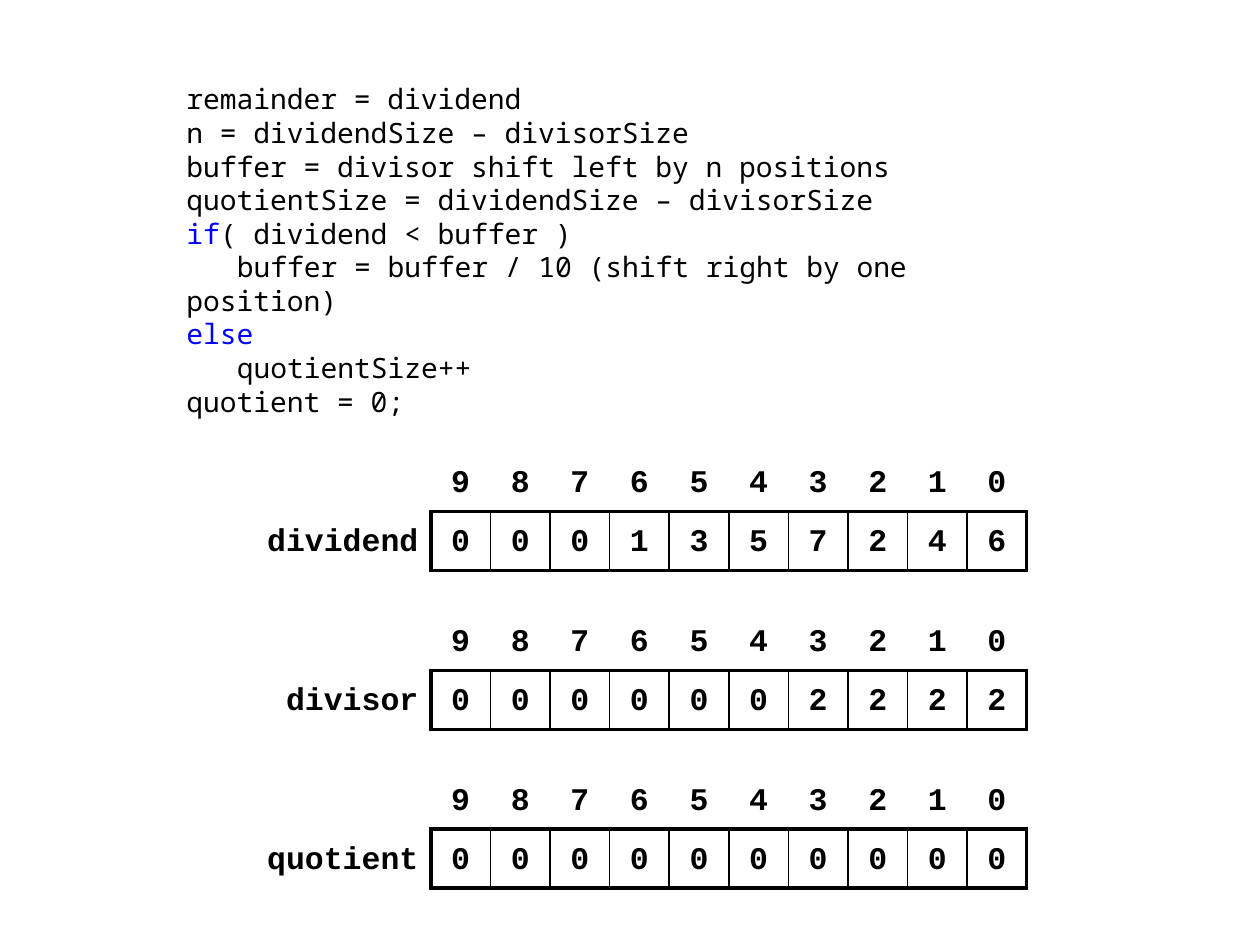
from lxml.etree import SubElement
from pptx import Presentation
from pptx.dml.color import RGBColor
from pptx.enum.text import MSO_AUTO_SIZE as AutoSize, MSO_ANCHOR as Anchor, PP_ALIGN as Align
from pptx.oxml.ns import qn
from pptx.util import Inches, Pt

BLACK, KEYWORD_BLUE = "000000", "0000FF"
THICK, THIN, NO_LINE = 2.25, 1, 0
DIGITS = 10
STEP_INDENT = 0.4

PSEUDOCODE = [
    ("", "remainder = dividend", 0),
    ("", "n = dividendSize – divisorSize", 0),
    ("", "buffer = divisor shift left by n positions", 0),
    ("", "quotientSize = dividendSize – divisorSize", 0),
    ("if", "( dividend < buffer )", 0),
    ("", "buffer = buffer / 10 (shift right by one position)", STEP_INDENT),
    ("else", "", 0),
    ("", "quotientSize++", STEP_INDENT),
    ("", "quotient = 0;", 0),
]
REGISTERS = [
    ("dividend", "0001357246"),
    ("divisor", "0000002222"),
    ("quotient", "0000000000"),
]


def rgb(value):
    """Return the colour for a hex string."""
    return RGBColor.from_string(value)


def add_text(paragraph, text, font="Courier New", size=18, color=BLACK, bold=False):
    """Add one formatted run to a paragraph."""
    run = paragraph.add_run()
    run.text = text
    run.font.name = font
    run.font.size = Pt(size)
    run.font.bold = bold
    run.font.color.rgb = rgb(color)


def add_pseudocode(slide):
    """Fill the body placeholder with the division algorithm."""
    body = slide.placeholders[1]
    body.left, body.top = Inches(1.38), Inches(0.6)
    body.width, body.height = Inches(7.25), Inches(2.52)
    frame = body.text_frame
    frame.word_wrap = True
    frame.auto_size = AutoSize.NONE
    frame.vertical_anchor = Anchor.TOP
    for number, (keyword, statement, indent) in enumerate(PSEUDOCODE):
        paragraph = frame.add_paragraph() if number else frame.paragraphs[0]
        paragraph.alignment = Align.LEFT
        paragraph.line_spacing = Pt(19.2)
        paragraph.space_before = paragraph.space_after = Pt(0)
        properties = paragraph._p.get_or_add_pPr()
        properties.set("marL", "0")
        properties.set("indent", str(Inches(indent)))
        SubElement(properties, qn("a:buNone"))
        for text, color in ((keyword, KEYWORD_BLUE), (statement, BLACK)):
            if text:
                add_text(paragraph, text, font="Noto Sans Mono", size=16, color=color)


def set_borders(cell, **widths):
    """Set the four borders of a cell from widths in points."""
    properties = cell._tc.get_or_add_tcPr()
    for side in "LRTB":
        width = widths.get(side, NO_LINE)
        line = SubElement(properties, qn(f"a:ln{side}"), w=str(Pt(width)))
        if width:
            fill = SubElement(line, qn("a:solidFill"))
            SubElement(fill, qn("a:srgbClr"), val=BLACK)
        else:
            SubElement(line, qn("a:noFill"))


def fill_cell(cell, text, alignment=Align.CENTER, **borders):
    """Write and format one table cell."""
    cell.margin_left = cell.margin_right = Inches(0.1)
    cell.margin_top = cell.margin_bottom = Inches(0.04)
    set_borders(cell, **borders)
    cell.fill.background()
    if text:
        paragraph = cell.text_frame.paragraphs[0]
        paragraph.alignment = alignment
        paragraph.line_spacing = 1.25
        add_text(paragraph, text, bold=True)


def add_register(slide, top, label, value):
    """Add a labelled row of digits under their position numbers."""
    label_width, total_width = 1.57, 6.3
    table = slide.shapes.add_table(
        2, DIGITS + 1, Inches(1.85), Inches(top), Inches(total_width), Inches(0.94)
    ).table
    table.first_row = table.horz_banding = False
    table.columns[0].width = Inches(label_width)
    fill_cell(table.cell(0, 0), "")
    fill_cell(table.cell(1, 0), label, Align.RIGHT, R=THICK)
    for column, digit in enumerate(value, start=1):
        table.columns[column].width = Inches((total_width - label_width) / DIGITS)
        left = THICK if column == 1 else THIN
        right = THICK if column == DIGITS else THIN
        fill_cell(table.cell(0, column), str(DIGITS - column), B=THICK)
        fill_cell(table.cell(1, column), digit, L=left, R=right, T=THICK, B=THICK)


def main():
    """Build the slide and save it."""
    deck = Presentation()
    deck.slide_width, deck.slide_height = Inches(10), Inches(7.5)
    slide = deck.slides.add_slide(deck.slide_layouts[1])
    title = slide.shapes.title.element
    title.getparent().remove(title)
    add_pseudocode(slide)
    for row, (label, value) in enumerate(REGISTERS):
        add_register(slide, 3.59 + 1.26 * row, label, value)
    deck.save("out.pptx")


if __name__ == "__main__":
    main()
